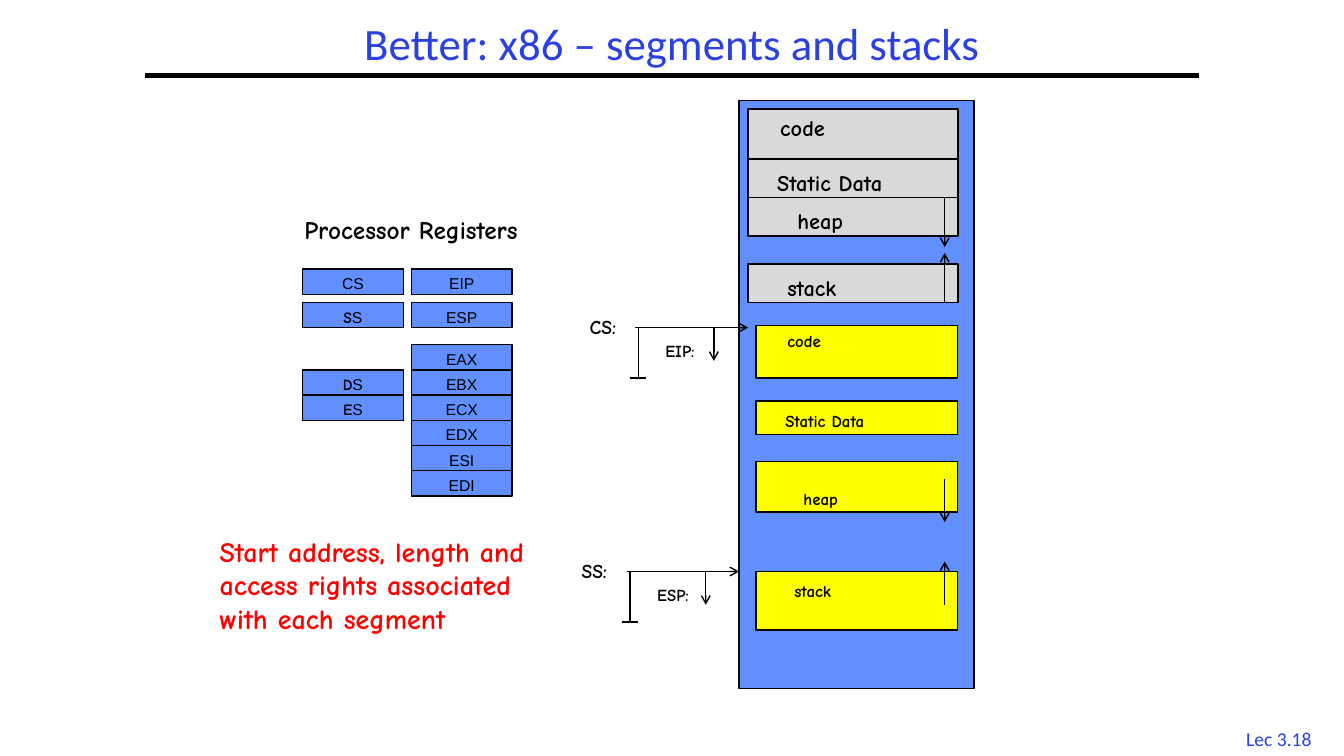
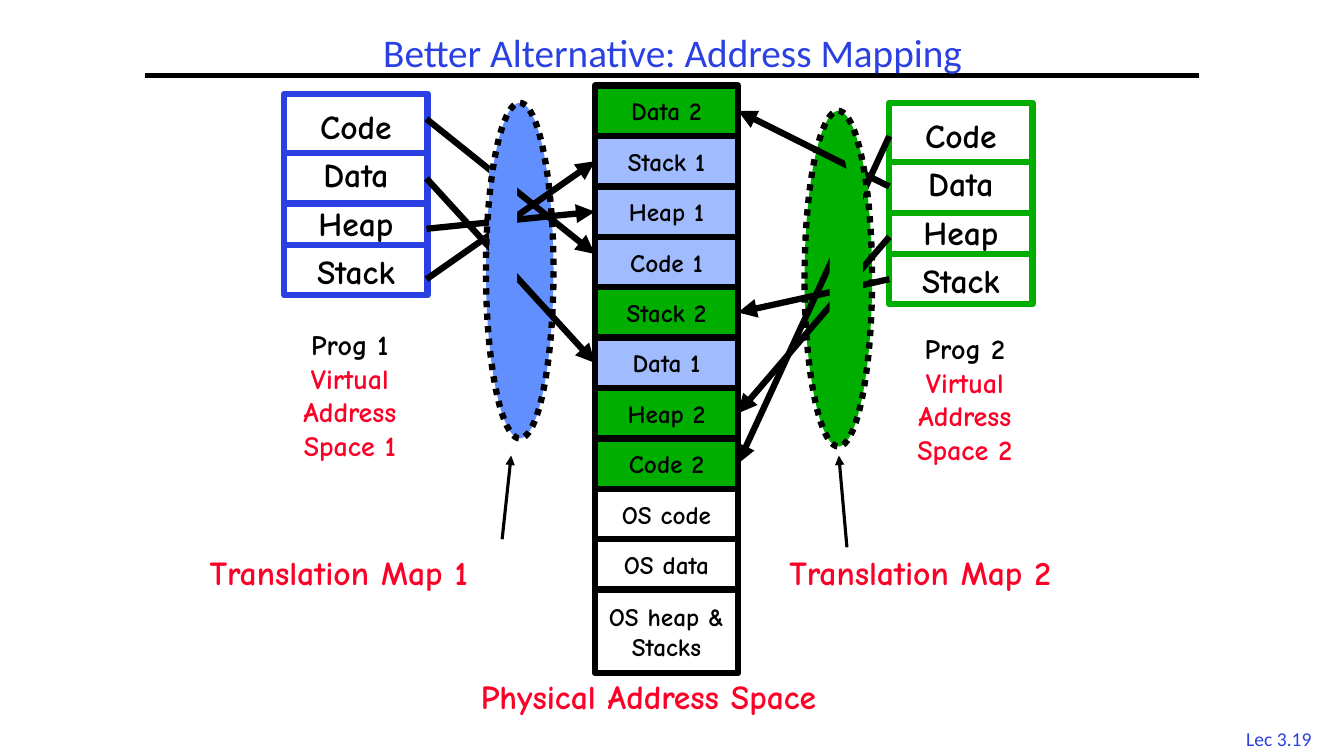
from lxml import etree
from pptx import Presentation
from pptx.dml.color import RGBColor
from pptx.enum.dml import MSO_LINE
from pptx.enum.shapes import MSO_CONNECTOR, MSO_SHAPE
from pptx.enum.text import MSO_ANCHOR, PP_ALIGN
from pptx.oxml.ns import qn
from pptx.util import Inches, Pt

RECT, OVAL = MSO_SHAPE.RECTANGLE, MSO_SHAPE.OVAL
STRAIGHT, DOTTED = MSO_CONNECTOR.STRAIGHT, MSO_LINE.ROUND_DOT
LEFT, CENTER = PP_ALIGN.LEFT, PP_ALIGN.CENTER
TOP, MIDDLE = MSO_ANCHOR.TOP, MSO_ANCHOR.MIDDLE
COLORS = {
    "black": "000000", "white": "FFFFFF", "title": "2A40E2", "blue": "618FFD",
    "pale": "A0BCFE", "gray": "D9D9D9", "yellow": "FFFF00", "green": "00AE00",
    "red": "FF0000", "crimson": "FC0128",
}
HAND, PLAIN, HEADING = "Comic Neue", "Arial", "Calibri"


def box(slide, at, lines=(), size=12, color="black", font=HAND, align=LEFT,
        anchor=TOP, spacing=None, fill=None, border=None, weight=1, kind=RECT):
    """Add a shape, or a text box when it has neither fill nor border."""
    place = [Inches(v) for v in at]
    if fill or border:
        shape = slide.shapes.add_shape(kind, *place)
        shape.shadow.inherit = False
        if fill:
            shape.fill.solid()
            shape.fill.fore_color.rgb = RGBColor.from_string(COLORS[fill])
        else:
            shape.fill.background()
        if border:
            shape.line.color.rgb = RGBColor.from_string(COLORS[border])
            shape.line.width = Pt(weight)
        else:
            shape.line.fill.background()
    else:
        shape = slide.shapes.add_textbox(*place)
    frame = shape.text_frame
    frame.word_wrap = True
    frame.vertical_anchor = anchor
    if lines:
        frame.text = "\n".join(lines)
        for paragraph in frame.paragraphs:
            paragraph.alignment = align
            paragraph.line_spacing = spacing
            paragraph.font.name = font
            paragraph.font.size = Pt(size)
            paragraph.font.bold = font == HAND
            paragraph.font.color.rgb = RGBColor.from_string(COLORS[color])
    return shape


def line(slide, start, end, weight=1, color="black", arrow=None):
    """Add a straight line, with an arrowhead at its end if one is named."""
    connector = slide.shapes.add_connector(
        STRAIGHT, *[Inches(v) for v in (*start, *end)])
    connector.line.color.rgb = RGBColor.from_string(COLORS[color])
    connector.line.width = Pt(weight)
    properties = connector._element.spPr
    if arrow:
        etree.SubElement(properties.find(qn("a:ln")), qn("a:tailEnd"), type=arrow)
    etree.SubElement(properties, qn("a:effectLst"))


deck = Presentation()
deck.slide_width, deck.slide_height = Inches(13.33), Inches(7.5)

# Title, rule and lecture number on both slides
slides = []
for title, title_at, title_size, number in [
    ("Better: x86 – segments and stacks", (2.75, 0.17, 7.83, 0.58), 32, "Lec 3.18"),
    ("Better Alternative: Address Mapping", (1.67, 0.25, 10, 0.58), 28, "Lec 3.19"),
]:
    slide = deck.slides.add_slide(deck.slide_layouts[6])
    box(slide, (12.2, 7.16, 0.97, 0.33), [number], 14, "title", HEADING, CENTER)
    line(slide, (1.44, 0.75), (11.89, 0.75), 3)
    box(slide, title_at, [title], title_size, "title", HEADING, CENTER, MIDDLE, 0.9)
    slides.append(slide)
segments, mapping = slides

# Processor registers
box(segments, (2.92, 2.08, 2.67, 0.4), ["Processor Registers"], 18)
registers = [("CS", 3, 2.67), ("EIP", 4.08, 2.67), ("SS", 3, 3), ("ESP", 4.08, 3),
             ("DS", 3, 3.67), ("ES", 3, 3.92)]
registers += [(name, 4.08, 3.42 + 0.25 * row) for row, name in
              enumerate(["EAX", "EBX", "ECX", "EDX", "ESI", "EDI"])]
for name, left, top in registers:
    mixed = name in ("SS", "DS", "ES")
    register = box(segments, (left, top, 1, 0.25), [name[0] if mixed else name], 11.2,
                   font=HAND if mixed else PLAIN, align=CENTER,
                   fill="blue", border="black")
    if mixed:
        second = register.text_frame.paragraphs[0].add_run()
        second.text = name[1]
        second.font.name = PLAIN
        second.font.bold = False

box(segments, (2.08, 5.25, 3.52, 1.45),
    ["Start address, length and access rights associated with each segment"], 20, "red")

# Memory with the process's own view (gray) and its segments (yellow)
box(segments, (7.33, 1, 2.33, 5.83), fill="blue", border="black")
for name, fill, top, height, label_left, label_top in [
    ("code", "gray", 1.08, 0.49, 7.64, 1.08),
    ("Static Data", "gray", 1.58, 0.38, 7.61, 1.63),
    ("heap", "gray", 1.96, 0.38, 7.81, 2.01),
    ("stack", "gray", 2.62, 0.38, 7.71, 2.67),
    ("code", "yellow", 3.23, 0.52, 7.71, 3.23),
    ("Static Data", "yellow", 3.98, 0.33, 7.69, 4.03),
    ("heap", "yellow", 4.58, 0.5, 7.87, 4.8),
    ("stack", "yellow", 5.67, 0.58, 7.78, 5.71),
]:
    left, label_size = (7.42, 16) if fill == "gray" else (7.5, 12)
    box(segments, (left, top, 9.5 - left, height), fill=fill, border="black")
    box(segments, (label_left, label_top, 1.49, 0.37), [name], label_size)

# Growth of heaps and stacks
for start, end in [(3, 2.51), (1.96, 2.45), (6, 5.57), (4.75, 5.18)]:
    line(segments, (9.37, start), (9.37, end), arrow="arrow")

# Segment base, length and offset pointer
for base_name, offset_name, x, y, reach in [("CS:", "EIP:", 6.33, 3.25, 7.42),
                                            ("SS:", "ESP:", 6.25, 5.67, 7.33)]:
    box(segments, (x - 0.58, y - 0.17, 0.56, 0.34), [base_name], 14)
    line(segments, (x - 0.03, y), (reach, y), arrow="arrow")
    line(segments, (x, y), (x, y + 0.5))
    line(segments, (x - 0.08, y + 0.5), (x + 0.08, y + 0.5))
    line(segments, (x + 0.75, y), (x + 0.75, y + 0.33), arrow="arrow")
    box(segments, (x + 0.17, y + 0.08, 0.59, 0.3), [offset_name], 12)

# Physical address space
physical = ["Data 2", "Stack 1", "Heap 1", "Code 1", "Stack 2", "Data 1", "Heap 2",
            "Code 2", "OS code", "OS data", "OS heap &\nStacks"]
for row, name in enumerate(physical):
    fill = {"1": "pale", "2": "green"}.get(name[-1], "white")
    height = 0.83 if "\n" in name else 0.5
    box(mapping, (5.9, 0.85 + 0.5 * row, 1.42, height), [name], 18, align=CENTER,
        anchor=MIDDLE, fill=fill, border="black", weight=4.5)
box(mapping, (4.67, 6.66, 4.08, 0.51), ["Physical Address Space"], 24, "crimson")

# Each program's virtual space, its arrows through the map, and its labels
programs = [
    dict(number=1, space=(2.82, 0.93), edge="title", map_at=(4.82, 1.02), tint="blue",
         sides=(4.23, 5.9), label=(2.81, 3.2), map_label=1.98,
         routes=[(1.18, 2.52), (1.77, 3.6), (2.27, 2.1), (2.77, 1.6)],
         covers=[(4.85, 1.67, 0.28, 1.5, 0)], pointer=[(4.98, 5.35), (5.07, 4.52)]),
    dict(number=2, space=(8.82, 1.02), edge="green", map_at=(7.98, 1.1), tint="green",
         sides=(8.82, 7.32), label=(8.91, 3.24), map_label=7.73,
         routes=[(1.35, 4.6), (1.85, 1.1), (2.35, 4.1), (2.77, 3.1)],
         covers=[(8.23, 1.85, 0.33, 1.58, 0), (8.4, 1.43, 0.17, 0.5, 348.5)],
         pointer=[(8.4, 5.43), (8.32, 4.52)]),
]
for program in programs:
    number, edge, tint = program["number"], program["edge"], program["tint"]
    left, top = program["space"]
    map_at = (*program["map_at"], 0.67, 3.33)
    box(mapping, map_at, fill=tint, kind=OVAL)
    box(mapping, (left, top, 1.42, 2), ["Code", "Data", "Heap", "Stack"], 24,
        align=CENTER, anchor=MIDDLE, spacing=1.2, fill="white", border=edge, weight=4.5)
    for drop in (0.59, 1.09, 1.5):
        line(mapping, (left, top + drop), (left + 1.42, top + drop), 4.5, edge)

    start_x, end_x = program["sides"]
    for start_y, end_y in program["routes"]:
        line(mapping, (start_x, start_y), (end_x, end_y), 4.5, arrow="triangle")
    for *cover_at, turn in program["covers"]:
        box(mapping, cover_at, fill=tint).rotation = turn
    box(mapping, map_at, border="black", weight=4.5, kind=OVAL).line.dash_style = DOTTED

    label = box(mapping, (*program["label"], 1.32, 1.45),
                [f"Prog {number}", "Virtual", "Address", f"Space {number}"],
                20, "crimson", align=CENTER)
    heading = label.text_frame.paragraphs[0]
    heading.font.color.rgb = RGBColor.from_string(COLORS["black"])
    box(mapping, (program["map_label"], 5.43, 3.15, 0.5),
        [f"Translation Map {number}"], 24, "crimson")
    line(mapping, *program["pointer"], 2.25, arrow="triangle")

deck.save("out.pptx")
